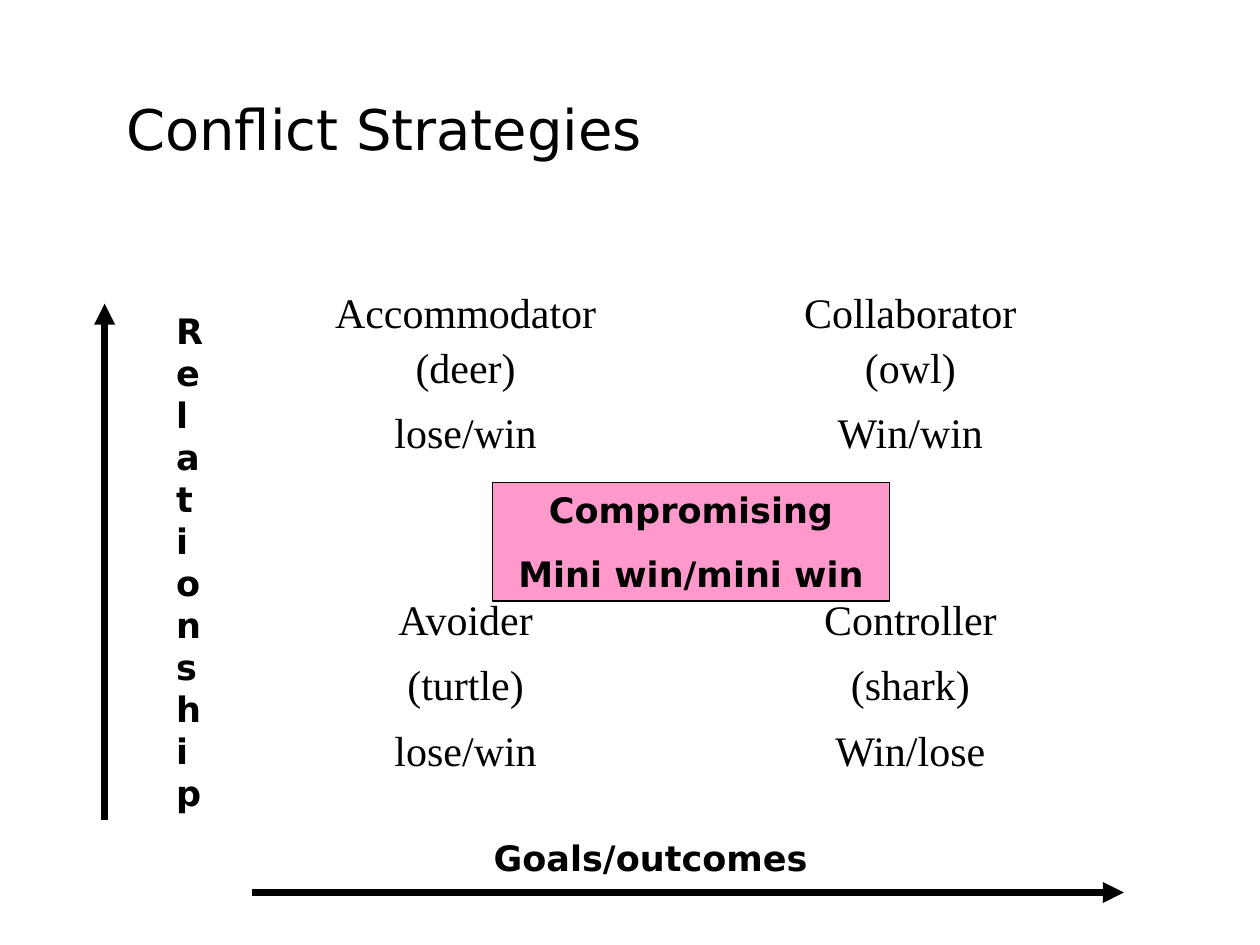
"""Build the conflict strategies slide."""
from lxml import etree
from pptx import Presentation
from pptx.dml.color import RGBColor
from pptx.enum import shapes, text
from pptx.oxml import ns
from pptx.util import Pt

HUES = {"ink": "000000", "pink": "FF99CC"}
SANS, SERIF = "DejaVu Sans", "Times New Roman"
TITLE = dict(name=SANS, size=Pt(32), bold=False)
LABEL = dict(name=SANS, size=Pt(20), bold=True)
CELL = dict(name=SERIF, size=Pt(24), bold=False)
LEFT, MID = text.PP_ALIGN.LEFT, text.PP_ALIGN.CENTER

BOXES = [
    (["Conflict Strategies"], (72, 54, 489, 50.4), TITLE, LEFT, (0, 0), None),
    (["Relationship"], (93.6, 173.5, 23, 295.2), LABEL, LEFT, (7.2, 3.6), None),
    (["Goals/outcomes"], (275, 474.5, 250, 31.7), LABEL, LEFT, (7.2, 3.6), None),
    (["Compromising", "Mini win/mini win"], (281.5, 275.8, 226.8, 67.7),
     LABEL, MID, (7.2, 3.6), "pink"),
]
GRID = [
    [["Accommodator", "(deer)", "lose/win"], ["Collaborator", "(owl)", "Win/win"]],
    [["Avoider", "(turtle)", "lose/win"], ["Controller", "(shark)", "Win/lose"]],
]
AREA = (139, 135.4, 508.3, 337.7)
ROWS = [dict(tall=163.4, top=31.7, gap=6), dict(tall=174.3, top=43.7, gap=12)]
ARROWS = [(59.8, 468.7, 59.8, 173.5), (144, 510, 642.2, 510)]


def hue(key):
    return RGBColor.from_string(HUES[key])


def apply(item, vals):
    for key, val in vals.items():
        setattr(item, key, val)


def write(frame, lines, font, align, gap, pitch=1.0):
    for i, line in enumerate(lines):
        para = frame.paragraphs[0] if i == 0 else frame.add_paragraph()
        apply(para, dict(alignment=align, line_spacing=pitch,
                         space_before=Pt(gap if i else 0)))
        run = para.add_run()
        run.text = line
        apply(run.font, font)
        run.font.color.rgb = hue("ink")


def add_box(slide, lines, area, font, align, pad, fill):
    spot = [Pt(v) for v in area]
    if fill:
        box = slide.shapes.add_shape(shapes.MSO_SHAPE.RECTANGLE, *spot)
        box.shadow.inherit = False
        box.fill.solid()
        box.fill.fore_color.rgb = hue(fill)
        box.line.color.rgb = hue("ink")
        box.line.width = Pt(0.75)
    else:
        box = slide.shapes.add_textbox(*spot)
    side, edge = Pt(pad[0]), Pt(pad[1])
    apply(box.text_frame, dict(
        word_wrap=True, vertical_anchor=text.MSO_ANCHOR.TOP,
        margin_left=side, margin_right=side, margin_top=edge, margin_bottom=edge))
    write(box.text_frame, lines, font, align, 12.5)


def add_grid(slide):
    table = slide.shapes.add_table(2, 2, *[Pt(v) for v in AREA]).table
    apply(table, dict(first_row=False, horz_banding=False))
    for col in table.columns:
        col.width = Pt(AREA[2] / 2)
    for r, rule in enumerate(ROWS):
        table.rows[r].height = Pt(rule["tall"])
        for c, lines in enumerate(GRID[r]):
            cell = table.cell(r, c)
            cell.fill.background()
            cell.margin_top = Pt(rule["top"])
            write(cell.text_frame, lines, CELL, MID, rule["gap"], 0.96)
            if r == 0:
                cell.text_frame.paragraphs[1].space_after = Pt(rule["gap"])


def add_arrow(slide, ends):
    line = slide.shapes.add_connector(
        shapes.MSO_CONNECTOR.STRAIGHT, *[Pt(v) for v in ends])
    line.line.color.rgb = hue("ink")
    line.line.width = Pt(4)
    stroke = line.line._get_or_add_ln()
    etree.SubElement(stroke, ns.qn("a:tailEnd"), type="triangle")
    etree.SubElement(line._element.spPr, ns.qn("a:effectLst"))


def main():
    deck = Presentation()
    apply(deck, dict(slide_width=Pt(720), slide_height=Pt(540)))
    slide = deck.slides.add_slide(deck.slide_layouts[6])
    add_grid(slide)
    for ends in ARROWS:
        add_arrow(slide, ends)
    for box in BOXES:
        add_box(slide, *box)
    deck.save("out.pptx")


if __name__ == "__main__":
    main()
